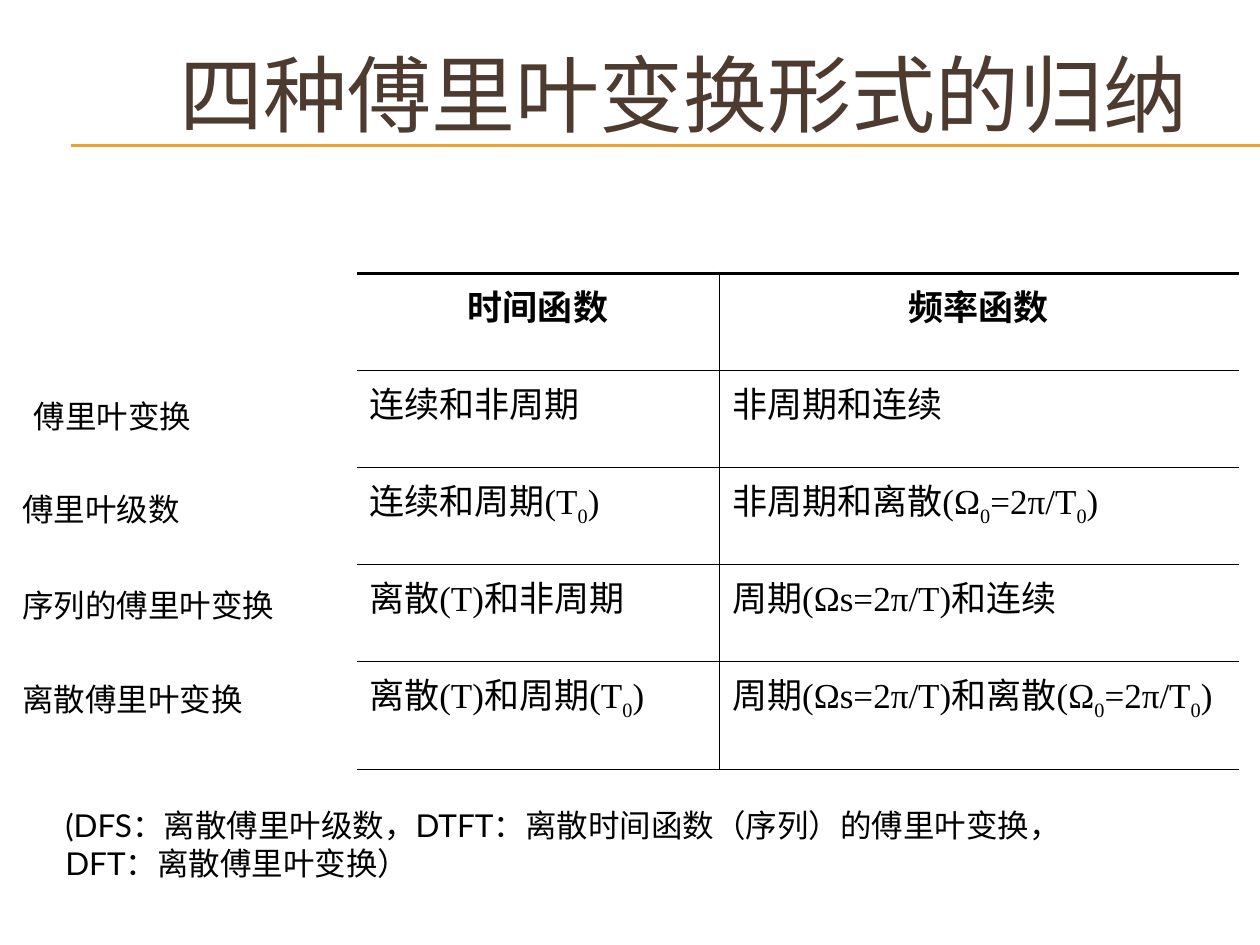
from lxml import etree
from pptx import Presentation
from pptx.dml.color import RGBColor
from pptx.enum import shapes, text
from pptx.oxml import ns
from pptx.util import Inches, Pt

TITLE = "四种傅里叶变换形式的归纳"
ROWS = [
    ("时间函数", "频率函数"),
    ("连续和非周期", "非周期和连续"),
    ("连续和周期(T_0)", "非周期和离散(Ω_0=2π/T_0)"),
    ("离散(T)和非周期", "周期(Ωs=2π/T)和连续"),
    ("离散(T)和周期(T_0)", "周期(Ωs=2π/T)和离散(Ω_0=2π/T_0)"),
]
LABELS = [
    ("傅里叶变换", (0.17, 2.85, 2, 0.9)),
    ("傅里叶级数", (0.08, 3.75, 2.08, 0.58)),
    ("序列的傅里叶变换", (0.08, 4.44, 3.08, 0.73)),
    ("离散傅里叶变换", (0.08, 5.27, 2.75, 0.56)),
]
NOTE = [
    "(DFS：离散傅里叶级数，DTFT：离散时间函数（序列）的傅里叶变换，",
    "DFT：离散傅里叶变换）",
]
COLS = (2.88, 4.12)
ROW = 0.77
THEME = {
    "title": ("Lato", 48, "4E3B30"),
    "body": ("Lato", 18, "000000"),
    "cell": ("Times New Roman", 20, "000000"),
    "rule": "F0A22E",
    "grid": "000000",
}


def style(para, role, bold=False):
    name, size, color = THEME[role]
    font = para.font
    font.name, font.size, font.bold = name, Pt(size), bold
    font.color.rgb = RGBColor.from_string(color)


def label(slide, lines, place, role, wrap=True):
    frame = slide.shapes.add_textbox(*map(Inches, place)).text_frame
    frame.word_wrap = wrap
    if wrap:
        frame.vertical_anchor = text.MSO_ANCHOR.MIDDLE
    else:
        frame.auto_size = text.MSO_AUTO_SIZE.SHAPE_TO_FIT_TEXT
    frame.text = "\n".join(lines)
    for para in frame.paragraphs:
        style(para, role)


def rule(slide, top):
    line = slide.shapes.add_connector(
        shapes.MSO_CONNECTOR.STRAIGHT,
        Inches(0.56), Inches(top), Inches(10), Inches(top))
    line.line.color.rgb = RGBColor.from_string(THEME["rule"])
    line.line.width = Pt(0.75)
    etree.SubElement(line._element.spPr, ns.qn("a:effectLst"))


def border(cell, side, width):
    props = cell._tc.get_or_add_tcPr()
    edge = etree.SubElement(props, ns.qn("a:ln" + side), w=str(Pt(width)))
    if width:
        fill = etree.SubElement(edge, ns.qn("a:solidFill"))
        etree.SubElement(fill, ns.qn("a:srgbClr"), val=THEME["grid"])
    else:
        etree.SubElement(edge, ns.qn("a:noFill"))


def write(para, words):
    for i, part in enumerate(words.split("_0")):
        if i:
            sub = para.add_run()
            sub.text = "0"
            sub.font._element.set("baseline", "-25000")
        if part:
            para.add_run().text = part


def grid(slide):
    place = (2.83, 2.17, sum(COLS), ROW * len(ROWS))
    table = slide.shapes.add_table(
        len(ROWS), len(COLS), *map(Inches, place)).table
    table.first_row = table.horz_banding = False
    for col, width in zip(table.columns, COLS):
        col.width = Inches(width)
    for r, row in enumerate(ROWS):
        for c, words in enumerate(row):
            cell = table.cell(r, c)
            edges = {"L": c, "R": 1 - c, "T": 1 if r else 2.25, "B": 1}
            for side, width in edges.items():
                border(cell, side, width)
            cell.fill.background()
            para = cell.text_frame.paragraphs[0]
            write(para, words)
            style(para, "cell", r == 0)
            para.space_before = Pt(4)
            if r == 0:
                para.alignment = text.PP_ALIGN.CENTER


def main():
    deck = Presentation()
    deck.slide_width, deck.slide_height = Inches(10), Inches(7.5)
    slide = deck.slides.add_slide(deck.slide_layouts[6])
    for top in (1.15, 1.16):
        rule(slide, top)
    label(slide, [TITLE], (1.33, 0.08, 8.5, 1.32), "title")
    grid(slide)
    for words, place in LABELS:
        label(slide, [words], place, "body")
    label(slide, NOTE, (0.42, 6.35, 8.05, 0.71), "body", wrap=False)
    deck.save("out.pptx")


if __name__ == "__main__":
    main()
